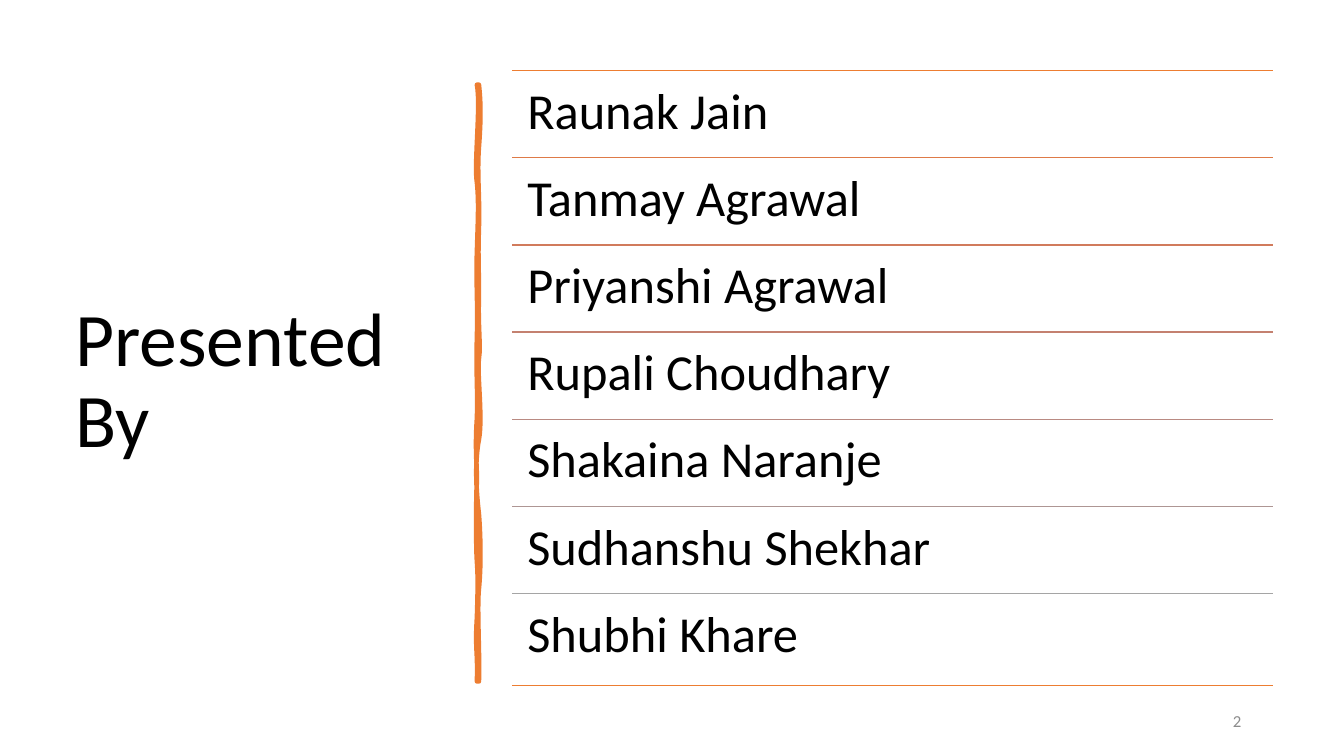
import pptx
import pptx.util
import pptx.dml.color
import pptx.enum.shapes
import pptx.enum.text
import pptx.oxml.ns
from lxml import etree

Inches = pptx.util.Inches
Pt = pptx.util.Pt
qn = pptx.oxml.ns.qn
ANCHOR = pptx.enum.text.MSO_ANCHOR
ALIGN = pptx.enum.text.PP_ALIGN

ORANGE = "ED7D31"
PRESENTERS = [
    ("Raunak Jain", ORANGE),
    ("Tanmay Agrawal", "DE7A47"),
    ("Priyanshi Agrawal", "D17B5C"),
    ("Rupali Choudhary", "C48170"),
    ("Shakaina Naranje", "B98A82"),
    ("Sudhanshu Shekhar", "AE9694"),
    ("Shubhi Khare", "A5A5A5"),
]
LIST_LEFT, LIST_TOP, LIST_WIDTH = 5.08, 0.7, 7.55
LAST_TOP = 5.89
ROW_PITCH = (LAST_TOP - LIST_TOP) / (len(PRESENTERS) - 1)
BRUSH_START = (4.75, 0.84)
BRUSH_CURVES = [
    ((4.77, 1.02), (4.77, 1.19), (4.75, 1.46)),
    ((4.73, 1.73), (4.76, 1.95), (4.75, 2.26)),
    ((4.74, 2.57), (4.75, 2.62), (4.75, 2.94)),
    ((4.74, 3.25), (4.77, 3.42), (4.75, 3.56)),
    ((4.73, 3.7), (4.79, 4.14), (4.75, 4.36)),
    ((4.71, 4.57), (4.72, 4.84), (4.75, 5.1)),
    ((4.77, 5.36), (4.77, 5.64), (4.75, 5.84)),
    ((4.73, 6.03), (4.76, 6.5), (4.75, 6.76)),
    ((4.74, 6.76), (4.73, 6.76), (4.73, 6.76)),
    ((4.74, 6.46), (4.71, 6.44), (4.73, 6.13)),
    ((4.74, 5.83), (4.74, 5.7), (4.73, 5.57)),
    ((4.72, 5.44), (4.72, 4.95), (4.73, 4.77)),
    ((4.73, 4.59), (4.71, 4.45), (4.73, 4.15)),
    ((4.74, 3.86), (4.72, 3.73), (4.73, 3.35)),
    ((4.74, 2.98), (4.72, 2.81), (4.73, 2.5)),
    ((4.74, 2.18), (4.75, 2), (4.73, 1.81)),
    ((4.7, 1.63), (4.77, 1.04), (4.73, 0.84)),
    ((4.74, 0.84), (4.74, 0.84), (4.75, 0.84)),
]


def rgb(color):
    return pptx.dml.color.RGBColor.from_string(color)


def add_text(s, text, box, size, color="000000", anchor=ANCHOR.TOP,
             align=ALIGN.LEFT, spacing=0.9, inset=None):
    tf = s.shapes.add_textbox(*map(Inches, box)).text_frame
    tf.text = text
    tf.word_wrap = True
    tf.vertical_anchor = anchor
    if inset is not None:
        tf.margin_left = tf.margin_right = Inches(inset)
        tf.margin_top = tf.margin_bottom = Inches(inset)
    p = tf.paragraphs[0]
    p.alignment = align
    p.line_spacing = spacing
    font = p.runs[0].font
    font.name = "Calibri"
    font.size = Pt(size)
    font.color.rgb = rgb(color)


def add_rule(s, y, color):
    rule = s.shapes.add_connector(
        pptx.enum.shapes.MSO_CONNECTOR.STRAIGHT,
        Inches(LIST_LEFT), Inches(y), Inches(LIST_LEFT + LIST_WIDTH), Inches(y))
    rule.line.color.rgb = rgb(color)
    rule.line.width = Pt(1)
    etree.SubElement(rule._element.spPr, qn("a:effectLst"))


def bend_segments(sp):
    segments = list(sp._element.iter(qn("a:lnTo")))
    for i in range(0, len(segments), 3):
        curve = etree.Element(qn("a:cubicBezTo"))
        segments[i].addprevious(curve)
        for segment in segments[i:i + 3]:
            curve.append(segment[0])
            segment.getparent().remove(segment)


def add_brush_stroke(s):
    builder = s.shapes.build_freeform(*map(Inches, BRUSH_START))
    builder.add_line_segments(
        [(Inches(x), Inches(y)) for curve in BRUSH_CURVES for x, y in curve])
    sp = builder.convert_to_shape()
    bend_segments(sp)
    sp.shadow.inherit = False
    sp.fill.solid()
    sp.fill.fore_color.rgb = rgb(ORANGE)
    sp.line.color.rgb = rgb(ORANGE)
    sp.line.width = Pt(3.25)


def main():
    prs = pptx.Presentation()
    prs.slide_width, prs.slide_height = Inches(13.33), Inches(7.5)
    s = prs.slides.add_slide(prs.slide_layouts[6])
    add_text(s, "Presented By", (0.65, 2.69, 3.74, 2.21), 54, anchor=ANCHOR.MIDDLE)
    add_brush_stroke(s)
    add_text(s, "2", (9.41, 6.95, 3, 0.4), 12, "8C8C8C", ANCHOR.MIDDLE,
             ALIGN.RIGHT, spacing=1)
    for i, (name, color) in enumerate(PRESENTERS):
        y = LIST_TOP + i * ROW_PITCH
        add_rule(s, y, color)
        add_text(s, name, (LIST_LEFT, y, LIST_WIDTH, 0.86), 36, inset=0.15)
    add_rule(s, 6.8, ORANGE)
    prs.save("out.pptx")


if __name__ == "__main__":
    main()
